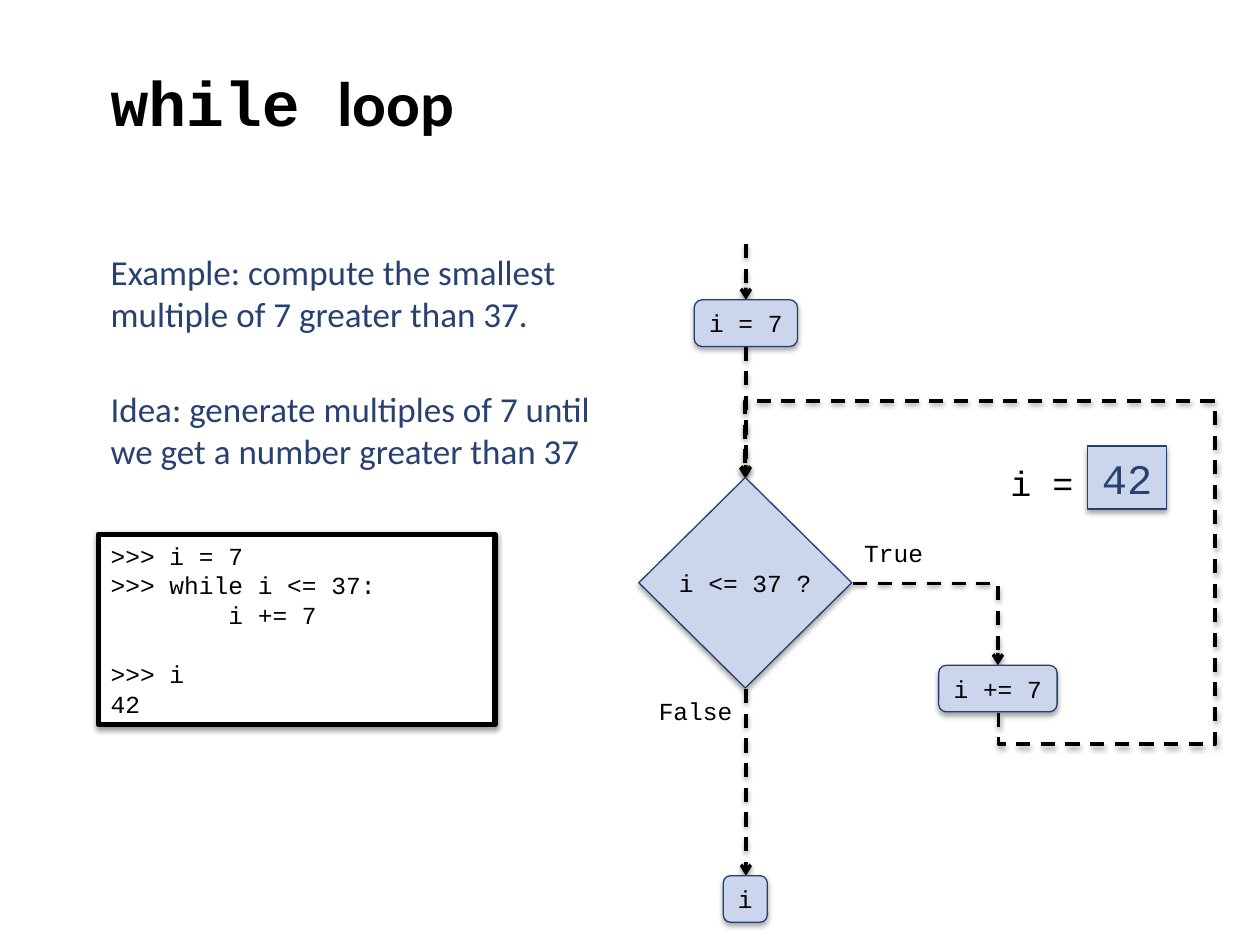
"""Build a slide that explains the while loop with code and a flow chart."""
from lxml import etree
from pptx import Presentation
from pptx import util as u
from pptx.dml.color import RGBColor
from pptx.enum import dml, shapes, text
from pptx.oxml import parse_xml
from pptx.oxml.ns import nsdecls, qn

INK, NAVY, EDGE, PALE, WHITE = "000000", "294171", "263F70", "CBD6EC", "FFFFFF"
MONO, SANS = "Courier New", "Calibri"


def write(paragraph, words, font=MONO, size=14, color=INK, bold=False, align=text.PP_ALIGN.LEFT):
    run = paragraph.add_run()
    run.text = words
    run.font.name, run.font.size, run.font.bold = font, u.Pt(size), bold
    run.font.color.rgb = RGBColor.from_string(color)
    paragraph.alignment = align


def add_shadow(shape, alpha, distance):
    shape._element.spPr.append(parse_xml(
        f'<a:effectLst {nsdecls("a")}><a:outerShdw blurRad="{u.Pt(3.1)}" dist="{u.Pt(distance)}" '
        f'dir="5400000" rotWithShape="0"><a:srgbClr val="{INK}"><a:alpha val="{alpha * 1000}"/>'
        '</a:srgbClr></a:outerShdw></a:effectLst>'))


presentation = Presentation()
presentation.slide_width, presentation.slide_height = u.Inches(10), u.Inches(7.5)
slide = presentation.slides.add_slide(presentation.slide_layouts[6])

labels = [
    ((0.78, 0, 8.5, 1.61), True, [("while ", MONO, 36, INK, True), ("loop", SANS, 36, INK, True)]),
    ((0.78, 1.94, 4.32, 0.77), True,
     [("Example: compute the smallest multiple of 7 greater than 37.", SANS, 20, NAVY)]),
    ((0.78, 3.02, 4.3, 0.77), True,
     [("Idea: generate multiples of 7 until we get a number greater than 37", SANS, 20, NAVY)]),
    ((5.13, 5.47, 0.79, 0.34), False, [("False",)]),
    ((6.76, 4.22, 0.79, 0.34), False, [("True",)]),
    ((7.92, 3.61, 0.71, 0.44), False, [("i =", MONO, 20)]),
]
for box, wrap, runs in labels:
    label = slide.shapes.add_textbox(*map(u.Inches, box))
    label.text_frame.word_wrap = wrap
    label.text_frame.vertical_anchor = text.MSO_ANCHOR.MIDDLE
    for run in runs:
        write(label.text_frame.paragraphs[0], *run)

arrows = [
    ((5.92, 1.94, 5.92, 2.38), "line", []),
    ((5.92, 2.75, 5.92, 3.79), "line", []),
    ((5.92, 5.47, 5.92, 6.95), "line", []),
    ((6.77, 4.63, 7.92, 5.28), "bentConnector2", []),
    ((5.99, 3.72, 7.85, 5.73), "bentConnector5", [-13500, -85500, 133000]),
]
for ends, preset, bends in arrows:
    kind = shapes.MSO_CONNECTOR.STRAIGHT if preset == "line" else shapes.MSO_CONNECTOR.ELBOW
    arrow = slide.shapes.add_connector(kind, *map(u.Inches, ends))
    arrow.line.color.rgb = RGBColor.from_string(INK)
    arrow.line.width = u.Pt(2)
    arrow.line.dash_style = dml.MSO_LINE.DASH
    etree.SubElement(arrow.line._get_or_add_ln(), qn("a:tailEnd"), type="arrow")
    geometry = arrow._element.spPr.find(qn("a:prstGeom"))
    geometry.set("prst", preset)
    for number, bend in enumerate(bends, 1):
        etree.SubElement(geometry.find(qn("a:avLst")), qn("a:gd"), name=f"adj{number}", fmla=f"val {bend}")
    if bends:
        frame = arrow._element.spPr.find(qn("a:xfrm"))
        frame.set("rot", "5400000")
        frame.set("flipH", "1")
    add_shadow(arrow, 38, 1.6)

process = shapes.MSO_SHAPE.FLOWCHART_ALTERNATE_PROCESS
decision = shapes.MSO_SHAPE.FLOWCHART_DECISION
rectangle = shapes.MSO_SHAPE.RECTANGLE
nodes = [
    (process, (5.51, 2.38, 0.82, 0.37), "i = 7", 14, INK),
    (decision, (5.07, 3.79, 1.69, 1.67), "i <= 37 ?", 14, INK),
    (process, (7.45, 5.28, 0.94, 0.37), "i += 7", 14, INK),
    (process, (5.74, 6.95, 0.35, 0.37), "i", 14, INK),
    (rectangle, (8.63, 3.54, 0.63, 0.5), "42", 24, NAVY),
]
for preset, box, words, size, color in nodes:
    node = slide.shapes.add_shape(preset, *map(u.Inches, box))
    node.fill.solid()
    node.fill.fore_color.rgb = RGBColor.from_string(PALE)
    node.line.color.rgb = RGBColor.from_string(EDGE)
    node.line.width = u.Pt(0.75)
    node.text_frame.word_wrap = False
    node.text_frame.vertical_anchor = text.MSO_ANCHOR.MIDDLE
    write(node.text_frame.paragraphs[0], words, size=size, color=color, align=text.PP_ALIGN.CENTER)
    add_shadow(node, 35, 1.8)

console = slide.shapes.add_shape(rectangle, *map(u.Inches, (0.78, 4.24, 3.15, 1.51)))
console.fill.solid()
console.fill.fore_color.rgb = RGBColor.from_string(WHITE)
console.line.color.rgb = RGBColor.from_string(INK)
console.line.width = u.Pt(3)
console.text_frame.vertical_anchor = text.MSO_ANCHOR.MIDDLE
add_shadow(console, 38, 1.6)
pitch = u.Pt(16.9)
code = [">>> i = 7", ">>> while i <= 37:", "        i += 7", ">>> i", "42"]
for number, line in enumerate(code):
    paragraph = console.text_frame.add_paragraph() if number else console.text_frame.paragraphs[0]
    paragraph.line_spacing = pitch
    if line == ">>> i":
        paragraph.space_before = pitch
    write(paragraph, line)

presentation.save("out.pptx")
